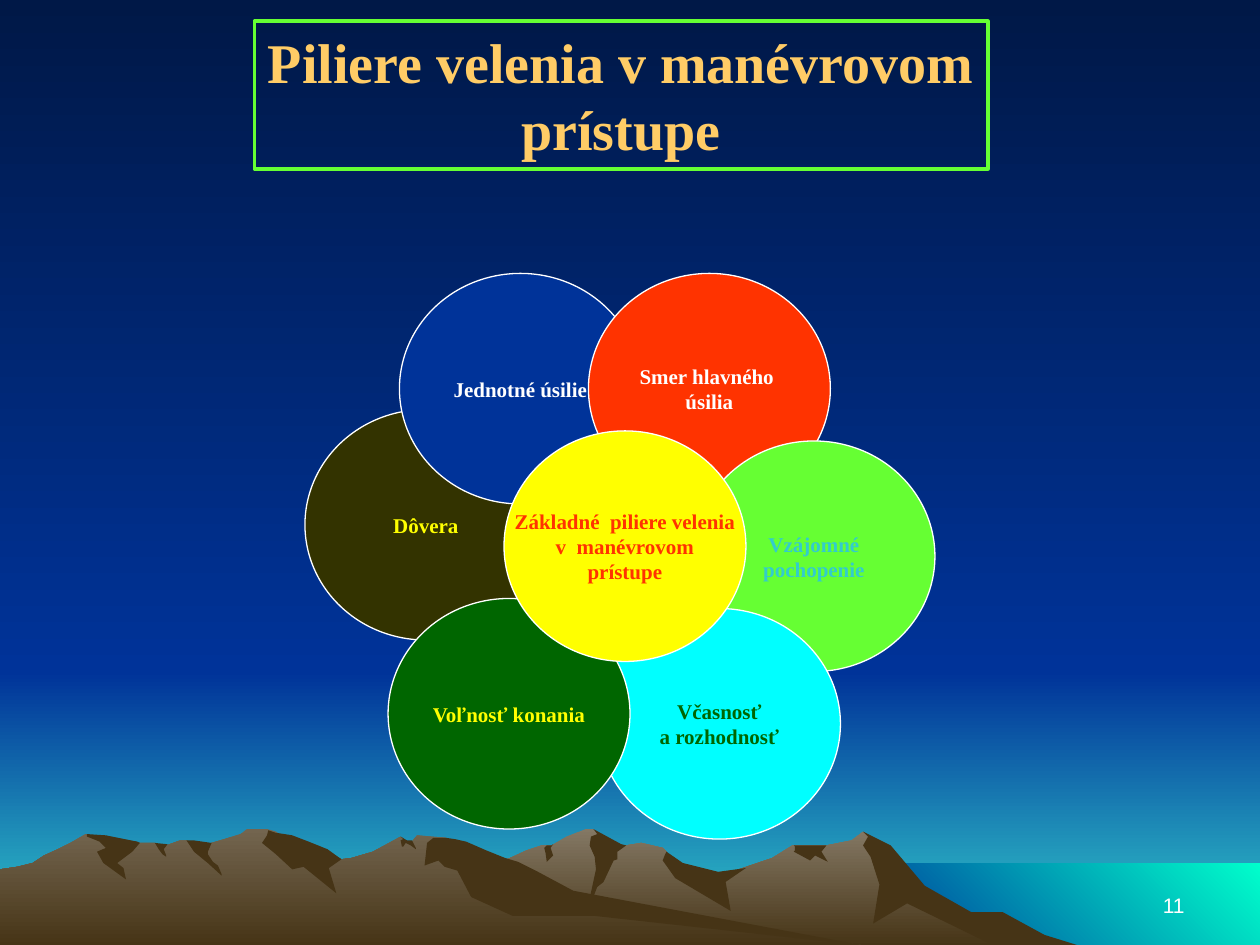
from dataclasses import dataclass

from pptx import Presentation
from pptx.dml.color import RGBColor
from pptx.enum.shapes import MSO_SHAPE
from pptx.enum.text import MSO_ANCHOR, MSO_AUTO_SIZE, PP_ALIGN
from pptx.util import Inches, Pt

OVAL = MSO_SHAPE.OVAL
TOP, MIDDLE, BOTTOM = MSO_ANCHOR.TOP, MSO_ANCHOR.MIDDLE, MSO_ANCHOR.BOTTOM
CENTER, RIGHT = PP_ALIGN.CENTER, PP_ALIGN.RIGHT
GROW = MSO_AUTO_SIZE.SHAPE_TO_FIT_TEXT
DOWN, UP_RIGHT = 270, 45  # gradient directions, counter-clockwise


@dataclass(frozen=True)
class Theme:
    serif: str = "Times New Roman"
    sans: str = "Arial"
    title_size: int = 32
    text_size: int = 12
    title: str = "FFCC66"
    night: str = "001847"
    blue: str = "003399"
    teal: str = "33CCCC"
    aqua: str = "00FFCC"
    light_rock: str = "847864"
    rock: str = "73654F"
    dark_rock: str = "463416"
    white: str = "FFFFFF"
    yellow: str = "FFFF00"
    red: str = "FF3300"
    lime: str = "66FF33"
    cyan: str = "00FFFF"
    green: str = "006600"
    olive: str = "333300"


class SlideBuilder:
    def __init__(self, page, theme):
        self.page = page
        self.theme = theme

    def gradient(self, fill, colors, angle=DOWN):
        fill.gradient()
        fill.gradient_angle = angle
        for stop, color in zip(fill.gradient_stops, colors):
            stop.color.rgb = RGBColor.from_string(color)

    def solid(self, fill, color):
        fill.solid()
        fill.fore_color.rgb = RGBColor.from_string(color)

    def outline(self, shape, color, width):
        self.solid(shape.line.fill, color)
        shape.line.width = Pt(width)

    def set_text(self, shape, text, color, size, font, bold=True,
                 align=CENTER, anchor=MIDDLE, wrap=False):
        frame = shape.text_frame
        frame.text = text
        frame.word_wrap = wrap
        frame.vertical_anchor = anchor
        for para in frame.paragraphs:
            para.alignment = align
            para.font.name = font
            para.font.size = Pt(size)
            para.font.bold = bold
            para.font.color.rgb = RGBColor.from_string(color)

    def land(self, points, *colors, angle=DOWN):
        """Borderless outline; points are in hundredths of an inch."""
        builder = self.page.shapes.build_freeform(*points[0], scale=Inches(0.01))
        builder.add_line_segments(points[1:], close=True)
        shape = builder.convert_to_shape()
        shape.shadow.inherit = False
        shape.line.fill.background()
        if len(colors) > 1:
            self.gradient(shape.fill, colors, angle)
        else:
            self.solid(shape.fill, colors[0])

    def band(self, left, top, right, bottom, *colors, angle=DOWN):
        self.land([(right, bottom), (left, bottom), (left, top), (right, top)],
                  *colors, angle=angle)

    def heading(self, text, left, top, width, height):
        title = self.page.shapes.title
        title.left, title.top = Inches(left), Inches(top)
        title.width, title.height = Inches(width), Inches(height)
        self.outline(title, self.theme.lime, 2.25)
        self.set_text(title, text, self.theme.title, self.theme.title_size,
                      self.theme.serif, anchor=TOP)
        title.text_frame.auto_size = GROW
        self.page.shapes._spTree.append(title._element)  # above the sky

    def petal(self, text, left, top, fill, color):
        oval = self.page.shapes.add_shape(
            OVAL, Inches(left), Inches(top), Inches(1.92), Inches(1.83))
        oval.shadow.inherit = False
        self.solid(oval.fill, fill)
        self.outline(oval, self.theme.white, 0.75)
        self.set_text(oval, text, color, self.theme.text_size, self.theme.serif)

    def page_number(self, text, left, top, width, height):
        box = self.page.shapes.add_textbox(
            Inches(left), Inches(top), Inches(width), Inches(height))
        self.set_text(box, text, self.theme.white, self.theme.text_size,
                      self.theme.sans, False, RIGHT, BOTTOM, True)


RIGHT_RANGE = [
    (802, 740), (778, 727), (764, 723), (723, 698), (702, 671), (685, 660), (676, 667),
    (656, 671), (629, 671), (613, 681), (566, 697), (536, 690), (529, 676), (526, 673),
    (509, 669), (497, 671), (486, 673), (474, 661), (471, 658), (465, 658), (450, 664),
    (438, 671), (430, 671), (418, 675), (405, 681), (394, 685), (355, 698), (327, 709),
    (277, 739), (258, 751), (821, 751)]
RIGHT_SHADOWS = [
    [(796, 724), (771, 724), (734, 703), (707, 671), (685, 660), (689, 664), (685, 671),
     (691, 680), (698, 702), (693, 733), (720, 717), (792, 752), (858, 751), (829, 742)],
    [(471, 658), (474, 662), (469, 664), (468, 671), (472, 680), (473, 690), (465, 727),
     (474, 704), (479, 700), (487, 683), (490, 682), (490, 676), (497, 671), (493, 670)],
    [(529, 676), (528, 678), (526, 683), (536, 697), (580, 723), (576, 700), (592, 689),
     (570, 692), (542, 685)],
    [(650, 671), (630, 671), (631, 672), (631, 675), (630, 676), (643, 683), (647, 679),
     (657, 684), (652, 676), (656, 671)],
    [(433, 677), (432, 673), (434, 671), (438, 671), (439, 670), (437, 673), (439, 679),
     (434, 684)]]
LEFT_RANGE = [
    (690, 751), (667, 748), (432, 712), (354, 665), (331, 663), (327, 668), (323, 668),
    (318, 664), (296, 676), (279, 681), (271, 682), (260, 676), (236, 681), (223, 663),
    (219, 660), (212, 658), (196, 658), (191, 662), (178, 666), (168, 669), (160, 671),
    (148, 667), (143, 667), (132, 671), (128, 671), (123, 669), (111, 669), (94, 671),
    (68, 662), (56, 669), (46, 674), (35, 679), (26, 685), (14, 688), (0, 690), (0, 751)]
LEFT_SHADOWS = [
    [(212, 663), (208, 669), (219, 678), (232, 690), (241, 688), (267, 709), (261, 689),
     (271, 682), (260, 674), (245, 668), (232, 663), (226, 662), (219, 661), (213, 659)],
    [(370, 668), (361, 666), (354, 665), (344, 665), (339, 669), (337, 687), (348, 683),
     (353, 688), (363, 691), (374, 712), (407, 727), (472, 727), (690, 751), (683, 750),
     (455, 707), (427, 692), (411, 684), (401, 681), (386, 675)],
    [(318, 667), (320, 666), (318, 664), (323, 667), (327, 667), (330, 673), (330, 674),
     (326, 671), (322, 669), (320, 672), (319, 672)],
    [(154, 667), (161, 668), (168, 669), (165, 676), (165, 678), (169, 684), (173, 687),
     (176, 694), (176, 695), (165, 685), (154, 676), (148, 667)],
    [(133, 670), (130, 674), (132, 679), (132, 680), (129, 678), (126, 674), (123, 669)],
    [(109, 668), (111, 669), (105, 676), (93, 685), (98, 689), (100, 698), (82, 685),
     (77, 676), (84, 673), (79, 668), (69, 664), (69, 662), (84, 663), (94, 665)]]


def main():
    theme = Theme()
    deck = Presentation()
    deck.slide_width, deck.slide_height = Inches(10), Inches(7.5)
    page = deck.slides.add_slide(deck.slide_layouts[5])
    slide = SlideBuilder(page, theme)

    # Sky, horizon and sea
    slide.gradient(page.background.fill, (theme.night, theme.blue))
    slide.band(0, 533, 1000, 750, theme.blue, theme.teal)
    slide.band(0, 0, 1000, 533, theme.night, theme.blue)
    slide.band(683, 685, 1000, 752, theme.blue, theme.aqua, angle=UP_RIGHT)

    # Mountains, each range followed by its shadowed faces
    for ridge, light, shadows in (
            (RIGHT_RANGE, theme.light_rock, RIGHT_SHADOWS),
            (LEFT_RANGE, theme.rock, LEFT_SHADOWS)):
        slide.land(ridge, light, theme.dark_rock)
        for shadow in shadows:
            slide.land(shadow, theme.dark_rock)

    # Title
    slide.heading("Piliere velenia v manévrovom\nprístupe", 2.02, 0.17, 5.82, 1.17)

    # Pillars around the centre, back to front
    for pillar in (
            ("Dôvera", 2.42, 3.25, theme.olive, theme.yellow),
            ("Jednotné úsilie", 3.17, 2.17, theme.blue, theme.white),
            ("Smer hlavného \núsilia", 4.67, 2.17, theme.red, theme.white),
            ("Vzájomné\npochopenie", 5.5, 3.5, theme.lime, theme.teal),
            ("Včasnosť\na rozhodnosť", 4.75, 4.83, theme.cyan, theme.green),
            ("Voľnosť konania", 3.08, 4.75, theme.green, theme.yellow),
            ("Základné  piliere velenia\nv  manévrovom\nprístupe", 4, 3.42,
             theme.yellow, theme.red)):
        slide.petal(*pillar)

    # Page number
    slide.page_number("11", 7.17, 6.83, 2.33, 0.5)
    deck.save("out.pptx")


if __name__ == "__main__":
    main()
